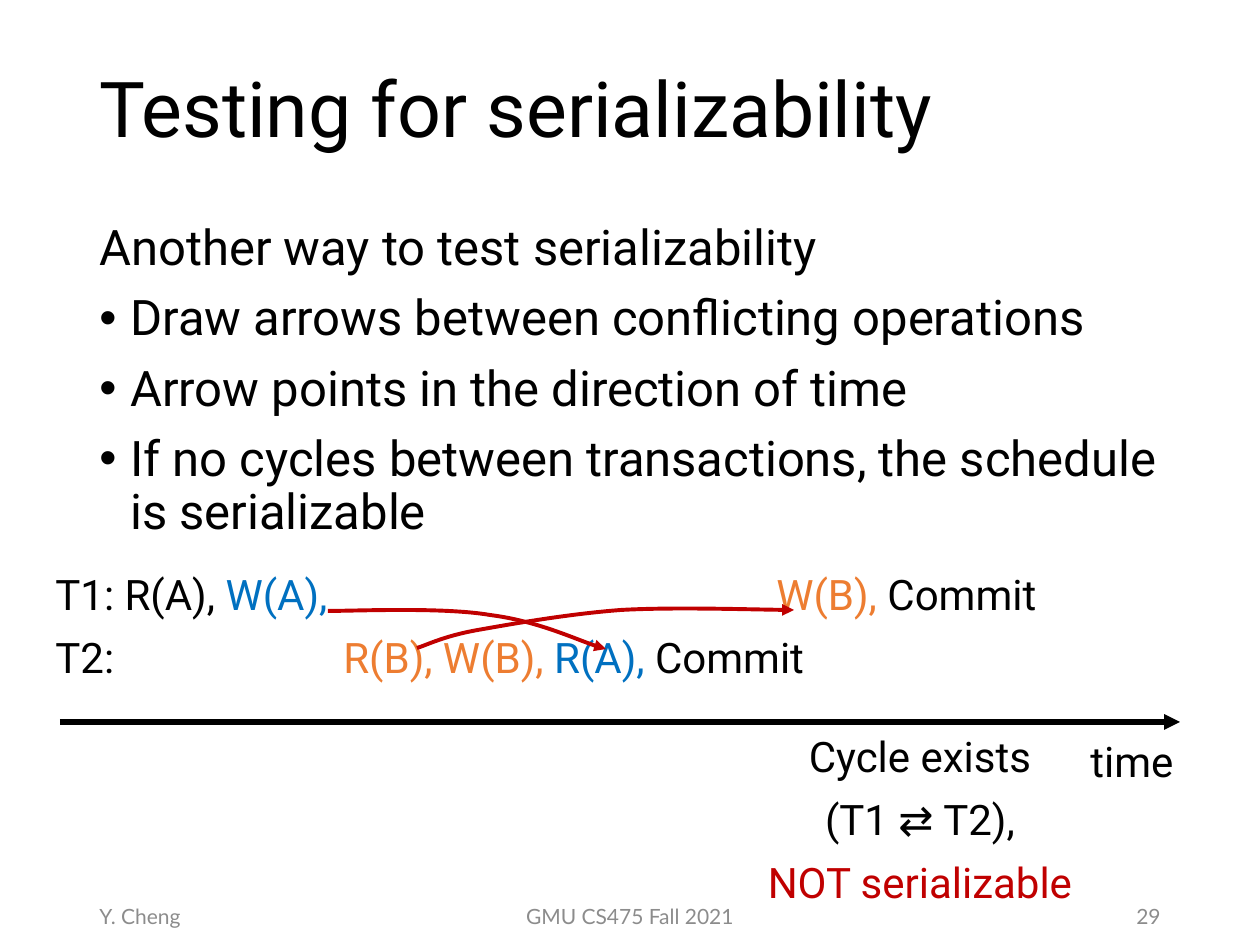
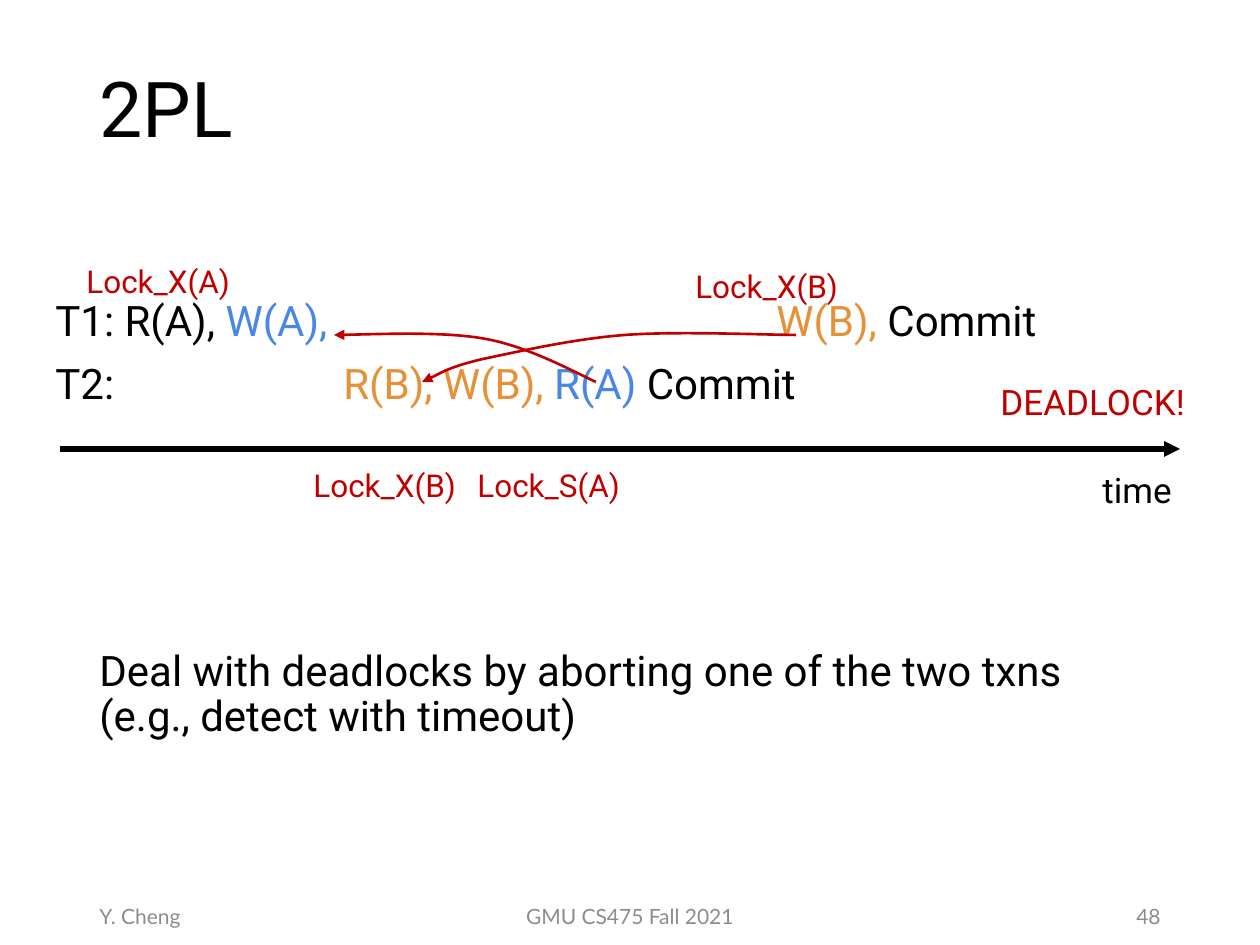
from lxml import etree
from pptx import Presentation
from pptx import util as u
from pptx.dml.color import RGBColor
from pptx.enum import shapes, text
from pptx.oxml import ns

# Shared scale, colours and styles
SCALE = 914400 / 126
WIDTH, HEIGHT = 1260, 945
BLACK, GREY, RED = "000000", "8C8C8C", "C00000"
BLUE, ORANGE = "0070C0", "ED7D31"
LIGHT_BLUE, AMBER = "4A86E8", "E69138"
BODY_FONT, FOOTER_FONT = "Roboto", "Lato"
LEFT, CENTER, RIGHT = text.PP_ALIGN.LEFT, text.PP_ALIGN.CENTER, text.PP_ALIGN.RIGHT
TOP, MIDDLE = text.MSO_ANCHOR.TOP, text.MSO_ANCHOR.MIDDLE
WIDE_INSET, THIN_INSET = 0.1, 0.05
TEXT_LEFT, TEXT_WIDTH = 87, 1086
BULLET_INDENT = 31
# Where the later operations of T1 and of T2 start
TRANSACTION_TABS = (721, 288)


def px(length):
    return u.Emu(round(length * SCALE))


def color(value):
    return RGBColor.from_string(value)


def add_xml(parent, tag, **attributes):
    return etree.SubElement(parent, ns.qn(tag), attributes)


# Text
def add_text(slide, box, paragraphs, size, fill=BLACK, font=BODY_FONT, align=LEFT,
             anchor=TOP, inset=WIDE_INSET, spacing=0.9, before=0):
    """Each paragraph is a string or a list of (string, colour) runs."""
    shape = slide.shapes.add_textbox(*map(px, box))
    frame = shape.text_frame
    frame.word_wrap = True
    frame.vertical_anchor = anchor
    frame.margin_left = frame.margin_right = u.Inches(WIDE_INSET)
    frame.margin_top = frame.margin_bottom = u.Inches(inset)
    for index, content in enumerate(paragraphs):
        paragraph = frame.add_paragraph() if index else frame.paragraphs[0]
        paragraph.alignment = align
        paragraph.line_spacing = spacing
        paragraph.space_before = u.Pt(before)
        pieces = [(content, fill)] if isinstance(content, str) else content
        for wording, run_color in pieces:
            run = paragraph.add_run()
            run.text = wording
            run.font.name = font
            run.font.size = u.Pt(size)
            run.font.color.rgb = color(run_color)
    return frame


def add_bullet(paragraph):
    properties = paragraph._p.get_or_add_pPr()
    properties.set("marL", str(px(BULLET_INDENT)))
    properties.set("indent", str(-px(BULLET_INDENT)))
    add_xml(properties, "a:buFont", typeface="Arial")
    add_xml(properties, "a:buChar", char="•")


def add_body(slide, top, height, paragraphs, size):
    return add_text(slide, (TEXT_LEFT, top, TEXT_WIDTH, height), paragraphs, size,
                    inset=THIN_INSET, before=10)


def add_schedule(slide, top, transactions):
    frame = add_text(slide, (43, top, 1174, 152), transactions, 24, before=10)
    for paragraph, stop in zip(frame.paragraphs, TRANSACTION_TABS):
        tabs = add_xml(paragraph._p.get_or_add_pPr(), "a:tabLst")
        add_xml(tabs, "a:tab", pos=str(px(stop)), algn="l")


# Lines and arrows
def style_line(shape, line_color, width, arrow_end):
    shape.line.color.rgb = color(line_color)
    shape.line.width = u.Pt(width)
    add_xml(shape.line._get_or_add_ln(), arrow_end, type="triangle")


def add_time_axis(slide, y):
    axis = slide.shapes.add_connector(shapes.MSO_CONNECTOR.STRAIGHT,
                                      px(60), px(y), px(1180), px(y))
    style_line(axis, BLACK, 3, "a:tailEnd")
    add_xml(axis._element.spPr, "a:effectLst")


def add_curve(slide, points, width, arrow_end):
    """Draw cubic curves: a start point, then three points per curve."""
    builder = slide.shapes.build_freeform(*points[0], scale=SCALE)
    builder.add_line_segments(points[1:], close=False)
    shape = builder.convert_to_shape()
    shape.fill.background()
    shape.shadow.inherit = False
    style_line(shape, RED, width, arrow_end)
    # Join every three straight segments into one cubic curve
    outline = next(shape._element.iter(ns.qn("a:path")))
    segments = outline.findall(ns.qn("a:lnTo"))
    for start in range(0, len(segments), 3):
        curve = add_xml(outline, "a:cubicBezTo")
        for segment in segments[start:start + 3]:
            curve.append(segment[0])
            outline.remove(segment)


# Slides
def add_slide(presentation, title, number):
    slide = presentation.slides.add_slide(presentation.slide_layouts[6])
    add_text(slide, (TEXT_LEFT, 21, TEXT_WIDTH, 183), [title], 44,
             anchor=MIDDLE, inset=THIN_INSET)
    footers = ((87, 283, "Y. Cheng", LEFT),
               (417, 426, "GMU CS475 Fall 2021", CENTER),
               (890, 283, str(number), RIGHT))
    for left, width, wording, align in footers:
        add_text(slide, (left, 891, width, 50), [wording], 12, GREY, FOOTER_FONT,
                 align, MIDDLE, THIN_INSET, spacing=1)
    return slide


def add_serializability_slide(presentation):
    slide = add_slide(presentation, "Testing for serializability", 29)
    body = add_body(slide, 217, 660, [
        "Another way to test serializability",
        "Draw arrows between conflicting operations",
        "Arrow points in the direction of time",
        "If no cycles between transactions, the schedule is serializable"], 28)
    for paragraph in body.paragraphs[1:]:
        add_bullet(paragraph)

    add_time_axis(slide, 722)
    add_text(slide, (1078, 714, 124, 86), ["time"], 24,
             anchor=MIDDLE, spacing=1.15, before=10)
    add_schedule(slide, 562, [
        [("T1: R(A), ", BLACK), ("W(A),\t", BLUE), ("W(B), ", ORANGE), ("Commit", BLACK)],
        [("T2:\t", BLACK), ("R(B), W(B), ", ORANGE), ("R(A), ", BLUE), ("Commit", BLACK)]])

    # Conflicts between the two transactions
    add_curve(slide, [(417, 648), (427, 645), (444, 636), (478, 630), (512, 624),
                      (568, 614), (621, 610), (674, 607), (765, 610), (794, 610)],
              2.25, "a:tailEnd")
    add_curve(slide, [(328, 611), (354, 611), (444, 607), (490, 615),
                      (537, 621), (586, 644), (606, 649)], 2.25, "a:tailEnd")
    add_text(slide, (738, 724, 364, 208),
             ["Cycle exists", "(T1 ⇄ T2),", [("NOT serializable", RED)]],
             24, align=CENTER, before=10)


def add_locking_slide(presentation):
    slide = add_slide(presentation, "2PL", 48)
    add_body(slide, 644, 144, ["Deal with deadlocks by aborting one of the two txns "
                               "(e.g., detect with timeout)"], 24)
    add_text(slide, (1090, 457, 103, 58), ["time"], 20,
             anchor=MIDDLE, spacing=1.15, before=10)
    add_schedule(slide, 288, [
        [("T1: R(A), ", BLACK), ("W(A),\t", LIGHT_BLUE), ("W(B),", AMBER),
         (" Commit", BLACK)],
        [("T2:\t", BLACK), ("R(B), W(B), ", AMBER), ("R(A) ", LIGHT_BLUE),
         ("Commit", BLACK)]])
    add_time_axis(slide, 449)

    # Waits between the two transactions
    add_curve(slide, [(422, 382), (432, 378), (449, 367), (483, 359), (517, 352),
                      (572, 339), (625, 335), (677, 331), (769, 335), (796, 335)],
              1.5, "a:headEnd")
    add_curve(slide, [(334, 335), (359, 335), (444, 331), (486, 339),
                      (530, 347), (578, 374), (596, 382)], 1.5, "a:headEnd")

    # Lock labels
    for left, top, wording in ((74, 254, "Lock_X(A)"), (301, 458, "Lock_X(B)"),
                               (465, 458, "Lock_S(A)"), (683, 259, "Lock_X(B)")):
        add_text(slide, (left, top, 176, 58), [wording], 18, RED)
    add_text(slide, (988, 373, 229, 62), ["DEADLOCK!"], 20, RED)


def main():
    presentation = Presentation()
    presentation.slide_width = px(WIDTH)
    presentation.slide_height = px(HEIGHT)
    add_serializability_slide(presentation)
    add_locking_slide(presentation)
    presentation.save("out.pptx")


main()
